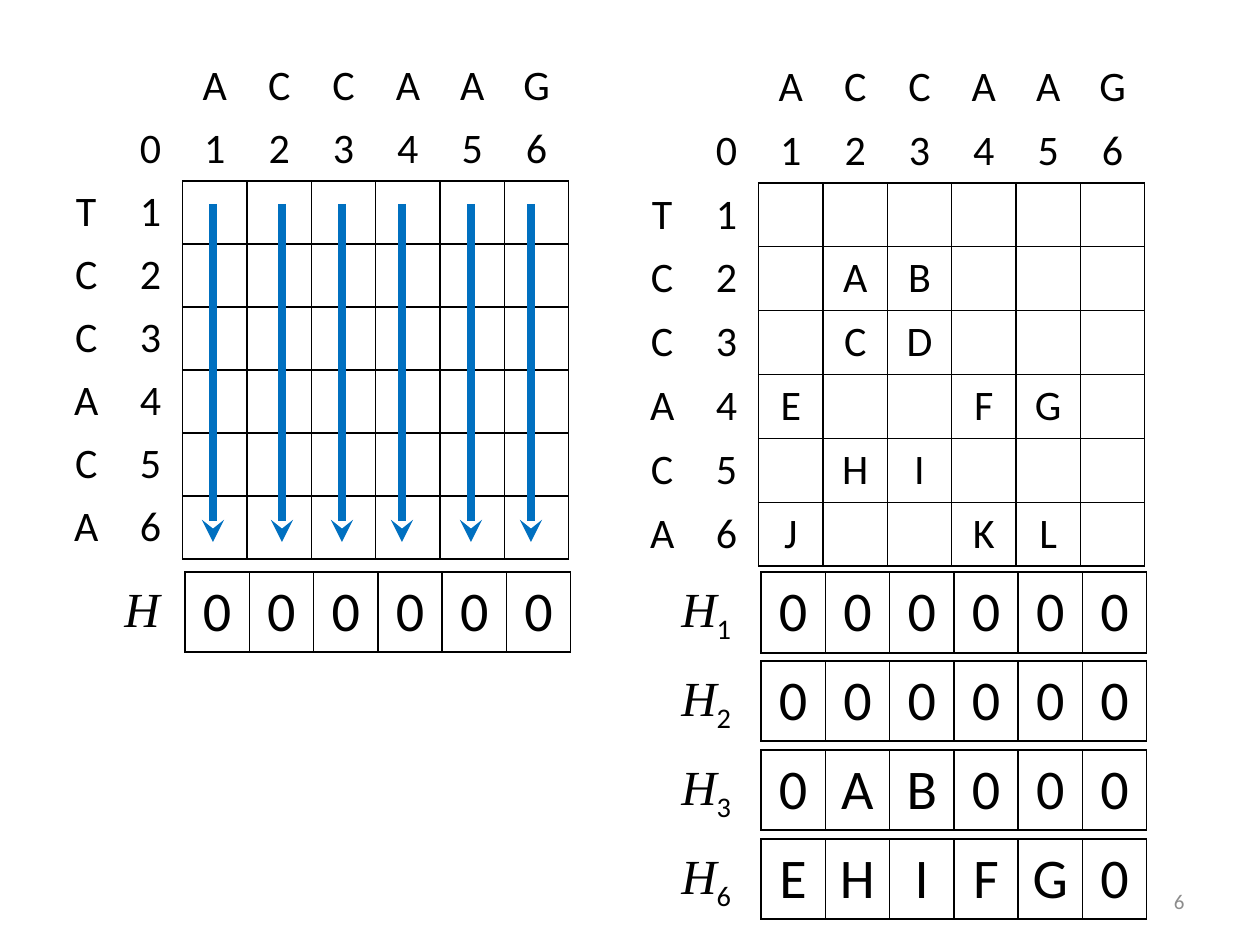
from dataclasses import dataclass

from lxml.etree import SubElement
from pptx import Presentation
from pptx.dml.color import RGBColor
from pptx.enum.shapes import MSO_CONNECTOR
from pptx.enum.text import MSO_ANCHOR, MSO_AUTO_SIZE, PP_ALIGN
from pptx.oxml.ns import qn
from pptx.util import Emu, Pt

BLACK, BLUE, GREY = "000000", "0070C0", "8C8C8C"
ROW_H, ROW_PITCH, H_TOP = 79, 89, 572
SIDES = {"a:lnL": (0, -1), "a:lnR": (0, 1), "a:lnT": (-1, 0), "a:lnB": (1, 0)}


@dataclass
class Grid:
    """A letter grid; the first `heads` rows and columns carry no frame."""
    x: int
    y: int
    w: int
    h: int
    rows: list[str]
    size: int
    heads: int = 0
    tight: bool = False


@dataclass
class HRow:
    """One H vector with its label and subscript."""
    label_x: int
    label_w: int
    x: int
    index: int
    sub: str
    values: str


def px(n: int) -> Emu:
    """Turn pixels into EMU."""
    return Emu(round(n * 914400 / 126))


def rgb(value: str) -> RGBColor:
    """Turn a hex string into a colour."""
    return RGBColor.from_string(value)


def style(r, size: int, color: str = BLACK, font: str = "Calibri") -> None:
    """Format a run."""
    r.font.size, r.font.name = Pt(size), font
    r.font.color.rgb = rgb(color)


def set_borders(cell, drawn: dict[str, bool]) -> None:
    """Draw or clear each side of a cell."""
    tc_pr = cell._tc.get_or_add_tcPr()
    for tag, on in drawn.items():
        ln = SubElement(tc_pr, qn(tag), w=str(Pt(1)))
        if on:
            fill = SubElement(ln, qn("a:solidFill"))
            SubElement(fill, qn("a:srgbClr"), val=BLACK)
        else:
            SubElement(ln, qn("a:noFill"))


def add_grid(s, g: Grid) -> None:
    """Draw a letter grid as a table, with dots as empty cells."""
    n_rows, n_cols = len(g.rows), len(g.rows[0])
    table = s.shapes.add_table(n_rows, n_cols, px(g.x), px(g.y), px(g.w), px(g.h)).table
    table.first_row = table.horz_banding = False

    def framed(row: int, col: int) -> bool:
        """Tell whether a cell lies in the framed part."""
        return g.heads <= row < n_rows and g.heads <= col < n_cols

    for i, line in enumerate(g.rows):
        for j, letter in enumerate(line):
            cell = table.cell(i, j)
            set_borders(cell, {tag: framed(i, j) or framed(i + di, j + dj)
                               for tag, (di, dj) in SIDES.items()})
            cell.fill.background()
            cell.vertical_anchor = MSO_ANCHOR.MIDDLE
            if g.tight:
                cell.margin_top = cell.margin_bottom = 0
            if letter != ".":
                p = cell.text_frame.paragraphs[0]
                p.text, p.alignment = letter, PP_ALIGN.CENTER
                style(p.runs[0], g.size)


def add_h_row(s, h: HRow) -> None:
    """Draw an H vector and its label."""
    y = H_TOP + h.index * ROW_PITCH
    add_grid(s, Grid(h.x, y, 386, ROW_H, [h.values], 32))
    tf = s.shapes.add_textbox(px(h.label_x), px(y), px(h.label_w), px(72)).text_frame
    tf.word_wrap, tf.auto_size = False, MSO_AUTO_SIZE.SHAPE_TO_FIT_TEXT
    p = tf.paragraphs[0]
    p.text = "H"
    style(p.runs[0], 28, font="Times New Roman")
    p.runs[0].font.italic = True
    if h.sub:
        r = p.add_run()
        r.text = h.sub
        style(r, 28)
        r.font._element.set("baseline", "-25000")


def add_arrow(s, x: int, top: int, bottom: int) -> None:
    """Draw a downward arrow."""
    line = s.shapes.add_connector(MSO_CONNECTOR.STRAIGHT, px(x), px(top), px(x), px(bottom))
    line.line.color.rgb, line.line.width = rgb(BLUE), Pt(4.25)
    SubElement(line.line._get_or_add_ln(), qn("a:tailEnd"), type="stealth")
    SubElement(line._element.spPr, qn("a:effectLst"))


def add_page_number(s, number: str) -> None:
    """Write the page number at the lower right."""
    tf = s.shapes.add_textbox(px(903), px(876), px(294), px(50)).text_frame
    tf.word_wrap, tf.vertical_anchor = True, MSO_ANCHOR.MIDDLE
    p = tf.paragraphs[0]
    p.text, p.alignment = number, PP_ALIGN.RIGHT
    style(p.runs[0], 12, GREY)


def main() -> None:
    """Build the slide."""
    prs = Presentation()
    prs.slide_width, prs.slide_height = px(1260), px(945)
    s = prs.slides.add_slide(prs.slide_layouts[6])

    header = ["..ACCAAG", ".0123456"]
    sides = [f"{letter}{i}" for i, letter in enumerate("TCCACA", 1)]
    matches = ["......", ".AB...", ".CD...", "E..FG.", ".HI...", "J..KL."]
    marked = header + [a + b for a, b in zip(sides, matches)]
    empty = header + [a + "." * 6 for a in sides]

    add_grid(s, Grid(630, 55, 515, 504, marked, 24, heads=2))
    vectors = [("1", "000000"), ("2", "000000"), ("3", "0AB000"), ("6", "EHIFG0")]
    for i, (sub, values) in enumerate(vectors):
        add_h_row(s, HRow(669, 78, 761, i, sub, values))
    add_grid(s, Grid(54, 55, 515, 504, empty, 24, heads=2, tight=True))
    add_h_row(s, HRow(112, 62, 185, 0, "", "000000"))
    for x in (213, 282, 342, 402, 471, 531):
        add_arrow(s, x, 204, 542)
    add_page_number(s, "6")
    prs.save("out.pptx")


if __name__ == "__main__":
    main()
